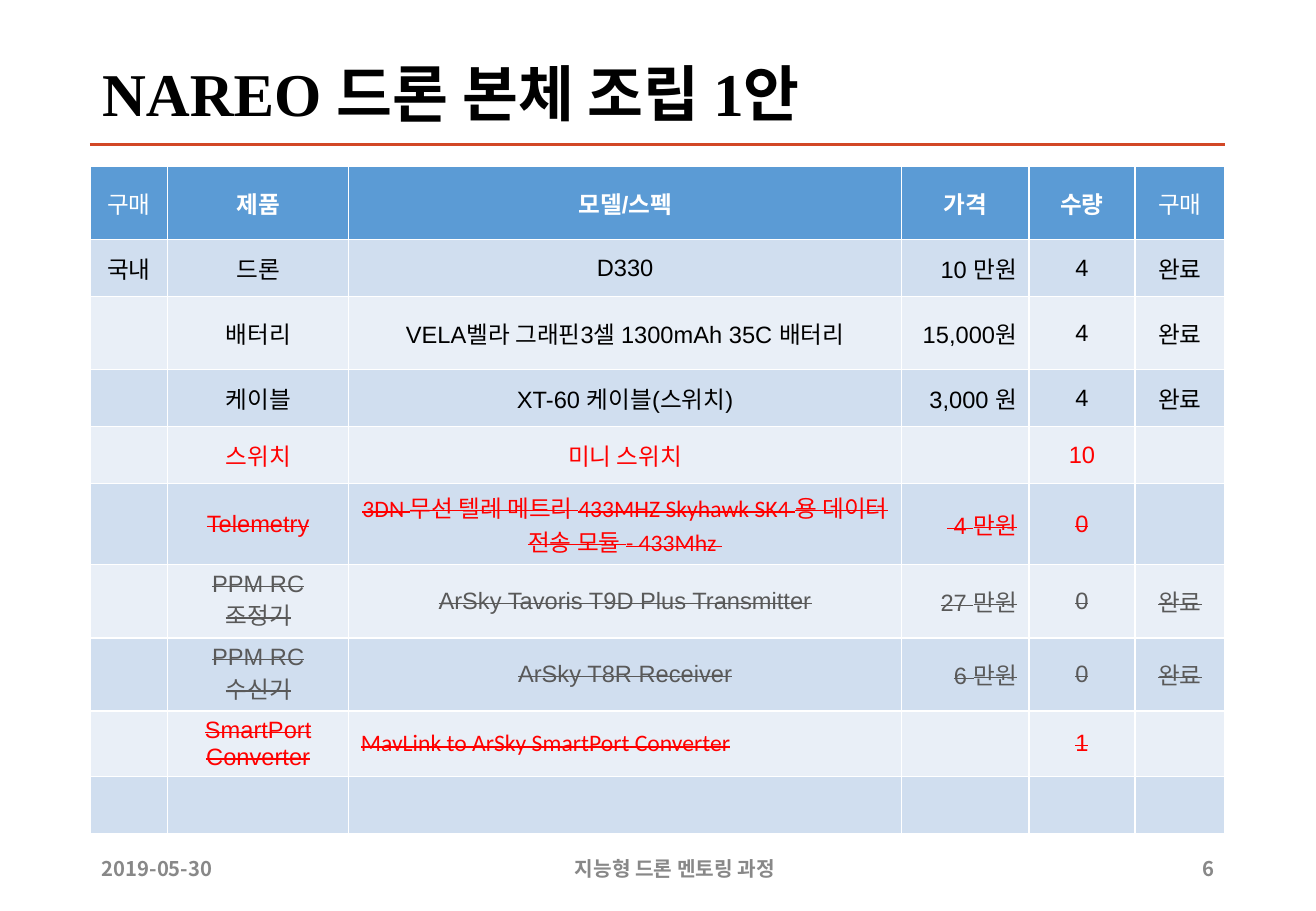
from lxml.etree import SubElement
from pptx import Presentation
from pptx.dml.color import RGBColor
from pptx.enum.shapes import MSO_CONNECTOR
from pptx.enum.text import MSO_ANCHOR, MSO_AUTO_SIZE, PP_ALIGN
from pptx.oxml.ns import qn
from pptx.util import Inches, Pt

HANGUL = "Noto Sans CJK KR"
LEFT, WIDE = 0.74, 9.34
COLS = [0.64, 1.49, 4.55, 1.05, 0.87, 0.74]
HEAD, ROW = 0.6, 0.47
BLACK, RED, GRAY = "000000", "FF0000", "595959"


def tint(part, color):
    """Colour a font, fill or line with a hex string."""
    if hasattr(part, "solid"):
        part.solid()
        part = part.fore_color
    else:
        part = part.color
    part.rgb = RGBColor.from_string(color)


def write(frame, text, align, color, strike=False, **form):
    frame.word_wrap = True
    para = frame.paragraphs[0]
    para.alignment = align
    run = para.add_run()
    run.text = text
    for key, value in form.items():
        setattr(run.font, key, value)
    tint(run.font, color)
    props = run.font._element
    if strike:
        props.set("strike", "sngStrike")
    SubElement(props, qn("a:ea")).set("typeface", HANGUL)


deck = Presentation()
deck.slide_width, deck.slide_height = Inches(10.83), Inches(7.5)
slide = deck.slides.add_slide(deck.slide_layouts[5])
shapes = slide.shapes

# Title and rule
title = shapes.title
box = dict(left=LEFT, top=0.4, width=WIDE, height=0.79)
for key, value in box.items():
    setattr(title, key, Inches(value))
frame = title.text_frame
frame.auto_size = MSO_AUTO_SIZE.NONE
frame.vertical_anchor = MSO_ANCHOR.MIDDLE
write(frame, "NAREO 드론 본체 조립 1안", PP_ALIGN.LEFT, BLACK,
      name="Times New Roman", size=Pt(36), bold=True)
frame.paragraphs[0].line_spacing = 0.9

rule = shapes.add_connector(MSO_CONNECTOR.STRAIGHT, Inches(LEFT), Inches(1.19),
                            Inches(LEFT + WIDE), Inches(1.19))
tint(rule.line, "D24726")
rule.line.width = Pt(2)
SubElement(rule._element.spPr, qn("a:effectLst"))

# Parts list: text colour, struck out, cells
parts = [
    ("FFFFFF", False, ["구매", "제품", "모델/스펙", "가격", "수량", "구매"]),
    (BLACK, False, ["국내", "드론", "D330", "10 만원", "4", "완료"]),
    (BLACK, False, ["", "배터리", "VELA벨라 그래핀3셀 1300mAh 35C 배터리",
                    " 15,000원", "4", "완료"]),
    (BLACK, False, ["", "케이블", "XT-60 케이블(스위치)", "3,000 원", "4", "완료"]),
    (RED, False, ["", "스위치", "미니 스위치", "", "10", ""]),
    (RED, True, ["", "Telemetry",
                 "3DN 무선 텔레 메트리 433MHZ Skyhawk SK4 용 데이터 전송 모듈 - 433Mhz ",
                 " 4 만원", "0", ""]),
    (GRAY, True, ["", "PPM RC 조정기", "ArSky Tavoris T9D Plus Transmitter",
                  "27 만원", "0", "완료"]),
    (GRAY, True, ["", "PPM RC 수신기", "ArSky T8R Receiver", "6 만원", "0", "완료"]),
    (RED, True, ["", "SmartPort Converter",
                 "MavLink to ArSky SmartPort Converter", "", "1", ""]),
    (BLACK, False, [""] * 6),
]
calibri = {(1, 0), (4, 2), (5, 2), (8, 2)}
aligns = {(8, 2): PP_ALIGN.LEFT}

table = shapes.add_table(len(parts), len(COLS), Inches(LEFT), Inches(1.37),
                         Inches(WIDE), Inches(HEAD + ROW * 9)).table
for col, width in zip(table.columns, COLS):
    col.width = Inches(width)
for r, (color, strike, texts) in enumerate(parts):
    table.rows[r].height = Inches(ROW if r else HEAD)
    fill = ("E9EFF7" if r % 2 == 0 else "D0DEEF") if r else "5B9BD5"
    for c, text in enumerate(texts):
        cell = table.cell(r, c)
        cell.vertical_anchor = MSO_ANCHOR.MIDDLE
        tint(cell.fill, fill)
        if text:
            side = PP_ALIGN.RIGHT if r and c == 3 else PP_ALIGN.CENTER
            write(cell.text_frame, text, aligns.get((r, c), side), color, strike,
                  name="Calibri" if (r, c) in calibri else "Arial",
                  size=Pt(14), bold=r == 0 and 0 < c < 5)

# Footer
for left, width, text, align in [
    (LEFT, 1.27, "2019-05-30", PP_ALIGN.LEFT),
    (4.45, 2.21, "지능형 드론 멘토링 과정", PP_ALIGN.CENTER),
    (9.56, 0.53, "6", PP_ALIGN.RIGHT),
]:
    frame = shapes.add_textbox(Inches(left), Inches(6.95),
                               Inches(width), Inches(0.4)).text_frame
    frame.vertical_anchor = MSO_ANCHOR.MIDDLE
    write(frame, text, align, "888888", name=HANGUL, size=Pt(12), bold=True)

deck.save("out.pptx")
